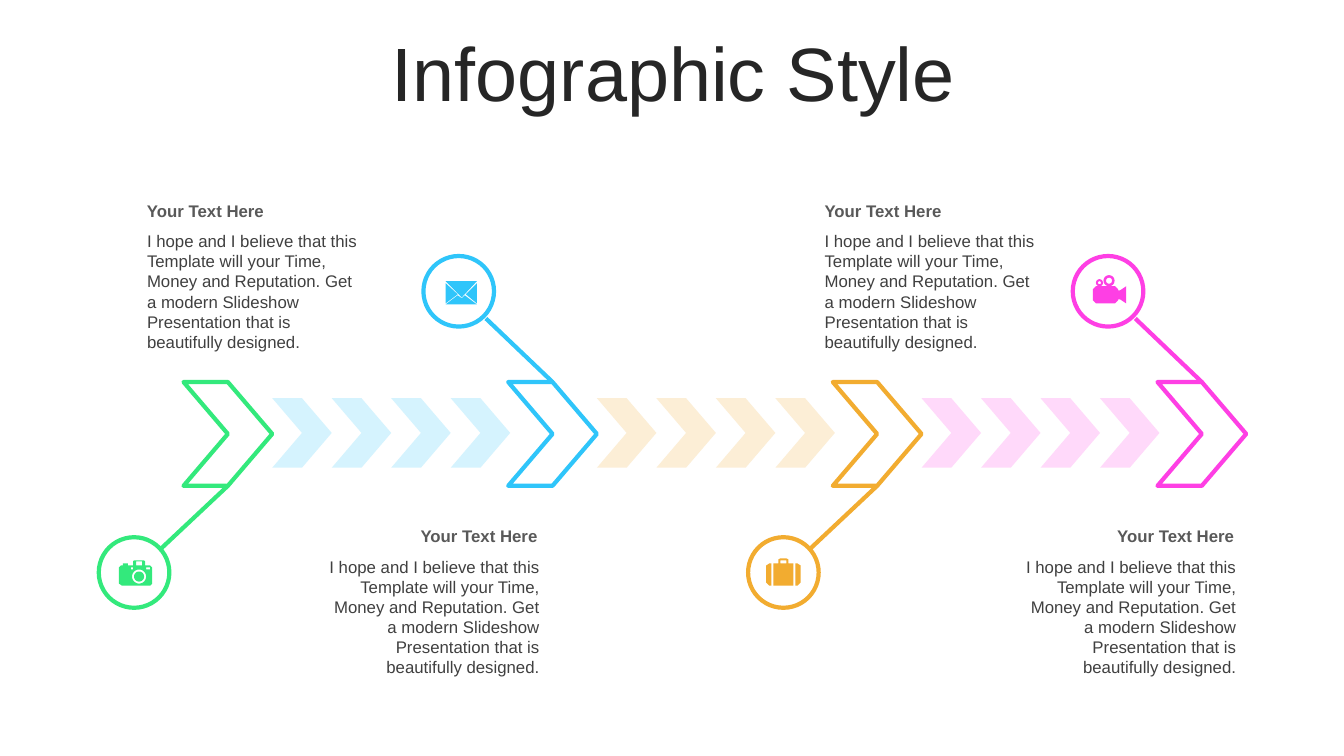
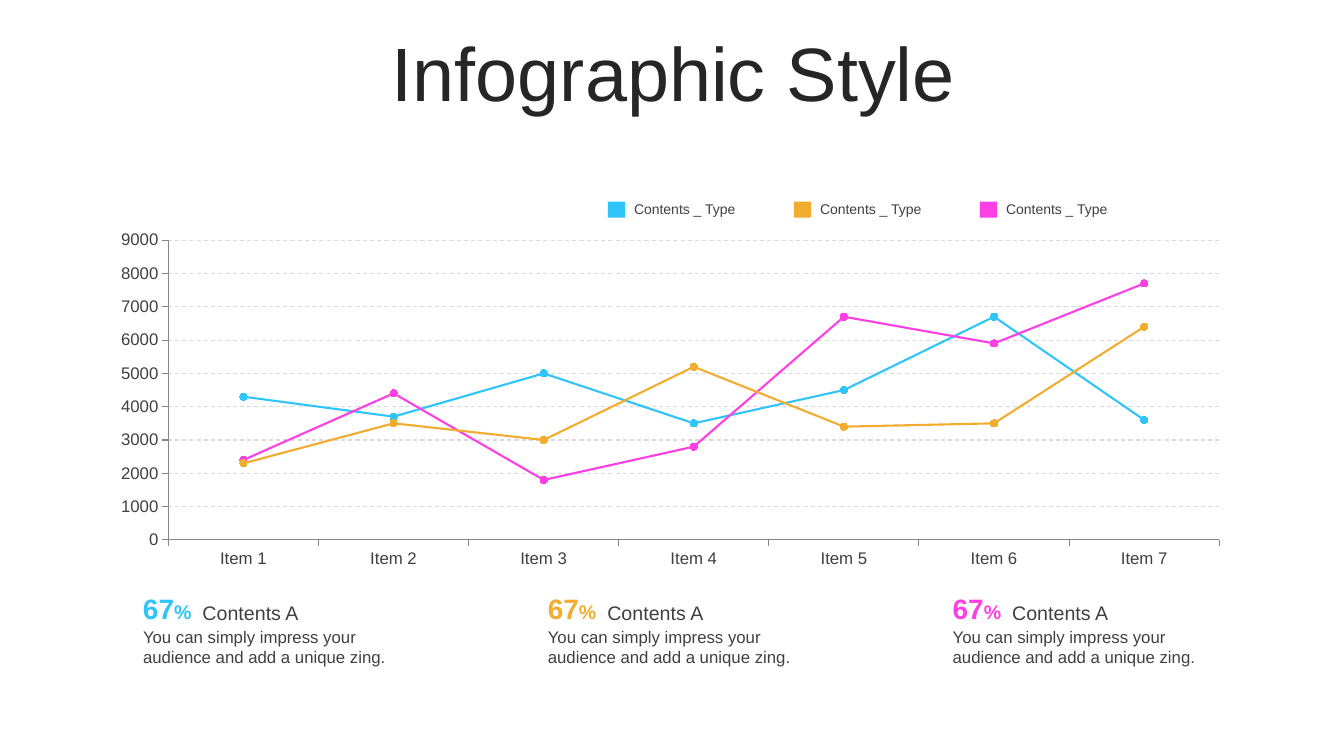
import math
from dataclasses import dataclass
from typing import NamedTuple

from pptx import Presentation
from pptx import util as u
from pptx.chart import data as chart_data
from pptx.dml.color import RGBColor
from pptx.enum import chart as chart_enum, dml, shapes, text
from pptx.oxml import parse_xml
from pptx.oxml.ns import nsdecls, qn
from lxml import etree

Inches = u.Inches
FONT = "Arial"
COLORS = {
    "green": "33E97C", "blue": "2FC5FA", "orange": "F2AC30", "pink": "FE3FE4",
    "pale_blue": "D5F3FE", "pale_orange": "FCEED6", "pale_pink": "FFD9FA",
    "white": "FFFFFF", "title": "262626", "heading": "595959", "body": "404040",
    "grid": "D9D9D9", "axis": "868686",
}
NOTE = ("I hope and I believe that this Template will your Time, Money and Reputation. "
        "Get a modern Slideshow Presentation that is beautifully designed.")
Points = list[tuple[float, float]]


class Box(NamedTuple):
    left: float
    top: float
    width: float
    height: float

    def lengths(self) -> list[int]:
        return [Inches(value) for value in self]


class Run(NamedTuple):
    text: str
    size: float


@dataclass
class Stage:
    color: str
    above: bool
    icon: list[Points]
    tint: str = ""  # colour of the small chevrons that lead to the stage


@dataclass
class Series:
    name: str
    color: str
    values: tuple[int, ...]


def rectangle(left: float, top: float, right: float, bottom: float) -> Points:
    return [(left, top), (right, top), (right, bottom), (left, bottom)]


def disc(x: float, y: float, radius: float) -> Points:
    angles = [math.tau * step / 24 for step in range(24)]
    return [(x + radius * math.cos(a), y + radius * math.sin(a)) for a in angles]


# Icon outlines in hundredths of an inch from the centre of their circle
CAMERA = [
    [(0, -12), (10, -12), (11, -11), (11, -7), (16, -7), (18, -5), (18, 11), (16, 13),
     (-12, 13), (-15, 11), (-15, -5), (-13, -7), (-11, -7), (-11, -9), (-6, -9),
     (-6, -7), (-1, -7), (-1, -11)],
    rectangle(-3, -5, -1, -3), rectangle(12, -5, 16, -3), rectangle(2, -11, 8, -7),
    disc(5, 4, 7), disc(5, 4, 5),
]
ENVELOPE = [
    [(6, 4), (18, 13), (-13, 13), (-1, 4), (3, 7)],
    [(18, -8), (18, 12), (7, 3)],
    [(-13, -8), (-1, 3), (-13, 12)],
    [(-13, -10), (18, -10), (3, 6)],
]
SUITCASE = [
    [(12, -9), (14, -9), (17, -7), (17, 10), (14, 13), (12, 13)],
    [(-14, -9), (-12, -9), (-12, 13), (-14, 13), (-17, 10), (-17, -7)],
    [(-3, -14), (3, -14), (5, -13), (5, -9), (10, -9), (10, 13), (-10, 13),
     (-10, -9), (-5, -9), (-5, -13)],
    rectangle(-3, -12, 3, -9),
]
MOVIE_CAMERA = [
    [(-12, -5), (7, -5), (10, -2), (10, -1), (12, -1), (18, -5), (18, 12), (12, 8),
     (10, 8), (10, 9), (7, 12), (-12, 12), (-15, 9), (-15, -2)],
    disc(1, -10.5, 5.5), disc(1, -10.5, 3), disc(-8.5, -8.5, 3.5), disc(-8.5, -8.5, 1.5),
]

STAGES = [
    Stage("green", False, CAMERA),
    Stage("blue", True, ENVELOPE, "pale_blue"),
    Stage("orange", False, SUITCASE, "pale_orange"),
    Stage("pink", True, MOVIE_CAMERA, "pale_pink"),
]
SERIES = [
    Series("Series 1", "blue", (4300, 3700, 5000, 3500, 4500, 6700, 3600)),
    Series("Series 2", "pink", (2400, 4400, 1800, 2800, 6700, 5900, 7700)),
    Series("Series 3", "orange", (2300, 3500, 3000, 5200, 3400, 3500, 6400)),
]


def rgb(name: str) -> RGBColor:
    return RGBColor.from_string(COLORS[name])


def add_text(slide, content: str | list[Run], box: Box, *, size: float = 12,
             color: str = "body", bold: bool = False, align=text.PP_ALIGN.LEFT,
             anchor=text.MSO_ANCHOR.TOP, spacing: float = 1.0) -> None:
    frame = slide.shapes.add_textbox(*box.lengths()).text_frame
    frame.word_wrap = True
    frame.vertical_anchor = anchor
    paragraph = frame.paragraphs[0]
    paragraph.alignment = align
    paragraph.line_spacing = spacing
    for part in [Run(content, size)] if isinstance(content, str) else content:
        run = paragraph.add_run()
        run.text = part.text
        run.font.name = FONT
        run.font.size = u.Pt(part.size)
        run.font.bold = bold
        run.font.color.rgb = rgb(color)


def paint(shape, fill: str, line: str = "") -> None:
    shape.shadow.inherit = False
    shape.fill.solid()
    shape.fill.fore_color.rgb = rgb(fill)
    if line:
        shape.line.color.rgb = rgb(line)
        shape.line.width = u.Pt(3)
    else:
        shape.line.fill.background()


def add_shape(slide, kind, box: Box, fill: str, line: str = "") -> None:
    paint(slide.shapes.add_shape(kind, *box.lengths()), fill, line)


def add_line(slide, start: tuple[float, float], end: tuple[float, float], color: str) -> None:
    ends = [Inches(value) for value in (*start, *end)]
    connector = slide.shapes.add_connector(shapes.MSO_CONNECTOR.STRAIGHT, *ends)
    connector.line.color.rgb = rgb(color)
    connector.line.width = u.Pt(3)
    etree.SubElement(connector._element.spPr, qn("a:effectLst"))


def add_icon(slide, contours: list[Points], x: float, y: float, color: str) -> None:
    placed = [[(Inches(x + dx / 100), Inches(y + dy / 100)) for dx, dy in points]
              for points in contours]
    builder = slide.shapes.build_freeform(*placed[0][0])
    for index, points in enumerate(placed):
        if index:
            builder.move_to(*points[0])
        builder.add_line_segments(points[1:], close=True)
    paint(builder.convert_to_shape(), color)


def add_titled_slide(presentation):
    slide = presentation.slides.add_slide(presentation.slide_layouts[6])
    add_text(slide, "Infographic Style", Box(0.35, 0.37, 12.66, 0.79), size=54, color="title",
             align=text.PP_ALIGN.CENTER, anchor=text.MSO_ANCHOR.MIDDLE, spacing=0.9)
    return slide


def add_note(slide, left: float, top: float, align) -> None:
    add_text(slide, "Your Text Here", Box(left, top, 2.33, 0.3),
             color="heading", bold=True, align=align)
    add_text(slide, NOTE, Box(left, top + 0.3, 2.35, 1.31), align=align)


def add_stage(slide, stage: Stage, left: float) -> None:
    """Draw a large chevron, the small ones before it and its circled icon."""
    chevron = shapes.MSO_SHAPE.CHEVRON
    if stage.tint:
        for step in range(4):
            small_left = left - 2.34 + 0.59 * step
            add_shape(slide, chevron, Box(small_left, 3.95, 0.59, 0.69), stage.tint)
    add_shape(slide, chevron, Box(left, 3.79, 0.88, 1.03), "white", stage.color)
    circle_top, line_start, line_end = (2.54, 3.16, 3.79) if stage.above else (5.33, 5.44, 4.82)
    add_line(slide, (left - 0.22, line_start), (left + 0.44, line_end), stage.color)
    add_shape(slide, shapes.MSO_SHAPE.OVAL, Box(left - 0.84, circle_top, 0.7, 0.7),
              "white", stage.color)
    add_icon(slide, stage.icon, left - 0.49, circle_top + 0.35, stage.color)


def build_process_slide(presentation) -> None:
    slide = add_titled_slide(presentation)
    for left in (1.36, 8.08):
        add_note(slide, left, 1.94, text.PP_ALIGN.LEFT)
    for left in (3.1, 10.01):
        add_note(slide, left, 5.17, text.PP_ALIGN.RIGHT)
    for index, stage in enumerate(STAGES):
        add_stage(slide, stage, 1.82 + 3.22 * index)


def add_line_chart(slide) -> None:
    data = chart_data.CategoryChartData()
    data.categories = [f"Item {number}" for number in range(1, 8)]
    for series in SERIES:
        data.add_series(series.name, series.values)
    chart = slide.shapes.add_chart(chart_enum.XL_CHART_TYPE.LINE_MARKERS,
                                   *Box(0.99, 2.21, 11.33, 3.46).lengths(), data).chart
    chart.has_legend = chart.has_title = False
    chart.font.name = FONT
    chart.font.size = u.Pt(12)
    chart.font.color.rgb = rgb("body")
    for axis in (chart.category_axis, chart.value_axis):
        axis.major_tick_mark = chart_enum.XL_TICK_MARK.OUTSIDE
        axis.format.line.color.rgb = rgb("axis")
        axis.format.line.width = u.Pt(0.75)
    value_axis = chart.value_axis
    value_axis.minimum_scale, value_axis.maximum_scale = 0, 9000
    value_axis.major_unit = 1000
    grid = value_axis.major_gridlines.format.line
    grid.color.rgb = rgb("grid")
    grid.width = u.Pt(0.75)
    grid.dash_style = dml.MSO_LINE.DASH
    plot = chart.plots[0]
    plot.vary_by_categories = False
    for drawn, series in zip(plot.series, SERIES):
        drawn.smooth = False
        drawn.format.line.color.rgb = rgb(series.color)
        drawn.format.line.width = u.Pt(1.5)
        drawn.marker.style = chart_enum.XL_MARKER_STYLE.CIRCLE
        drawn.marker.size = 5
        drawn.marker.format.fill.solid()
        drawn.marker.format.fill.fore_color.rgb = rgb(series.color)
        drawn.marker.format.line.color.rgb = rgb(series.color)
    set_plot_area(chart, Box(0.06, 0.05, 0.92, 0.86))


def set_plot_area(chart, area: Box) -> None:
    """Place the inner plot area, in fractions of the chart."""
    plot_area = chart._chartSpace.chart.plotArea
    for layout in plot_area.findall(qn("c:layout")):
        plot_area.remove(layout)
    places = "".join(f'<c:{tag} val="{value}"/>' for tag, value in zip("xywh", area))
    plot_area.insert(0, parse_xml(
        f'<c:layout {nsdecls("c")}><c:manualLayout><c:layoutTarget val="inner"/>'
        f'<c:xMode val="edge"/><c:yMode val="edge"/>{places}</c:manualLayout></c:layout>'))


def build_chart_slide(presentation) -> None:
    slide = add_titled_slide(presentation)
    add_line_chart(slide)
    middle = text.MSO_ANCHOR.MIDDLE
    for index, color in enumerate(("blue", "orange", "pink")):
        legend_left = 6.03 + 1.845 * index
        add_shape(slide, shapes.MSO_SHAPE.RECTANGLE, Box(legend_left, 2, 0.17, 0.16), color)
        add_text(slide, "Contents _ Type", Box(legend_left + 0.16, 1.94, 1.43, 0.27),
                 size=10, anchor=middle)
        left = 1.32 + 4.015 * index
        add_text(slide, [Run("67", 20), Run("%", 14)], Box(left, 5.81, 0.87, 0.44),
                 color=color, bold=True, anchor=middle)
        add_text(slide, "Contents A", Box(left + 0.59, 5.91, 2.09, 0.34), size=14, anchor=middle)
        add_text(slide, "You can simply impress your audience and add a unique zing.",
                 Box(left, 6.17, 2.68, 0.5))


def main() -> None:
    presentation = Presentation()
    presentation.slide_width = Inches(13.33)
    presentation.slide_height = Inches(7.5)
    build_process_slide(presentation)
    build_chart_slide(presentation)
    presentation.save("out.pptx")


if __name__ == "__main__":
    main()
